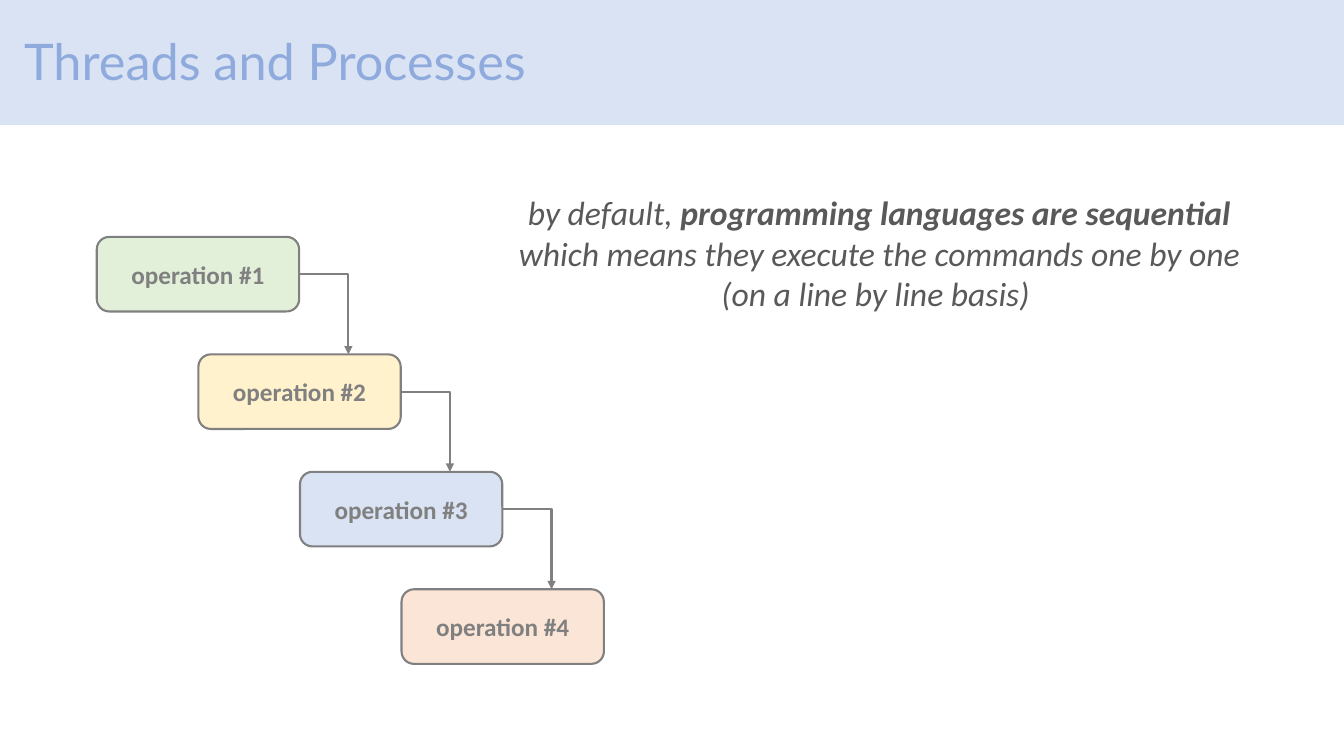
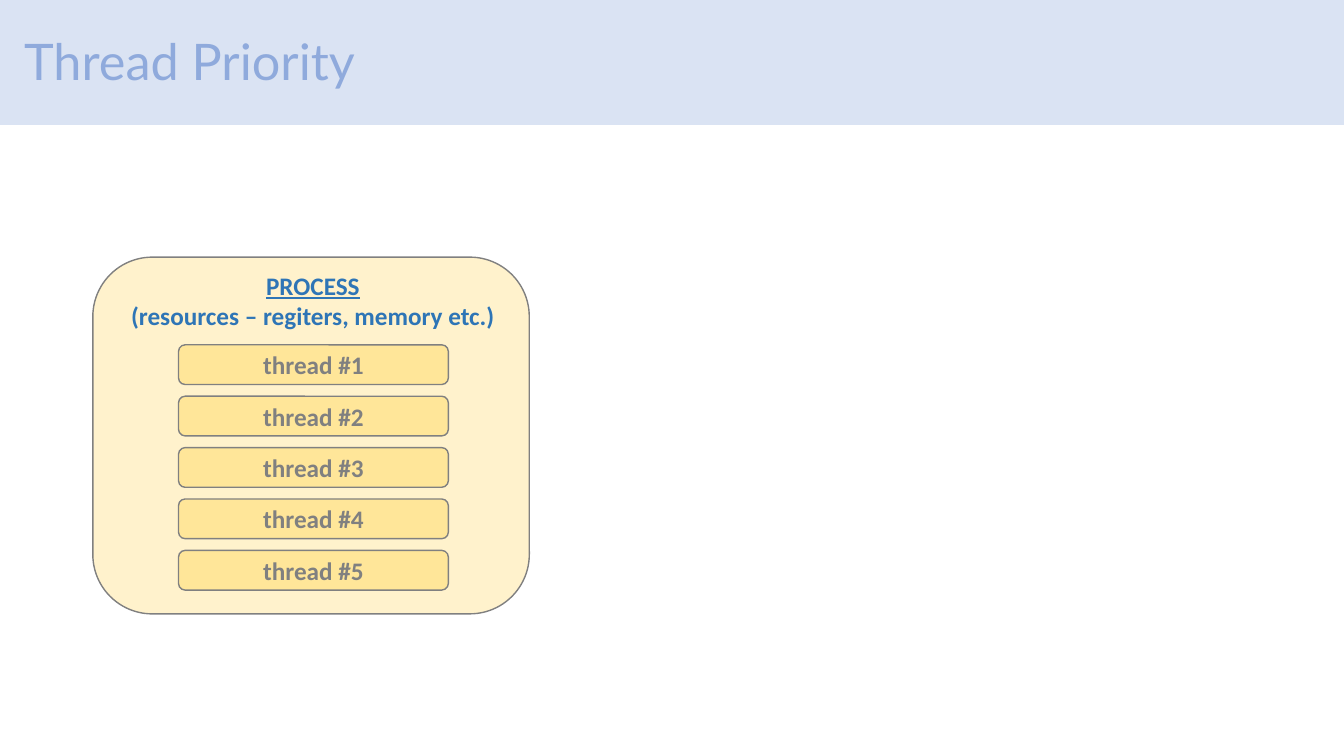
from lxml import etree
from pptx import Presentation
from pptx.dml.color import RGBColor
from pptx.enum import shapes, text
from pptx.oxml import ns
from pptx.util import Cm, Pt

WHITE = RGBColor(0xFF, 0xFF, 0xFF)
GREY = RGBColor(0x80, 0x80, 0x80)
DARK_GREY = RGBColor(0x59, 0x59, 0x59)
PALE_BLUE = RGBColor(0xDA, 0xE3, 0xF3)
TITLE_BLUE = RGBColor(0x8F, 0xAA, 0xDC)
STRONG_BLUE = RGBColor(0x2E, 0x75, 0xB6)
PALE_GREEN = RGBColor(0xE2, 0xF0, 0xD9)
PALE_YELLOW = RGBColor(0xFF, 0xF2, 0xCC)
YELLOW = RGBColor(0xFF, 0xE6, 0x99)
PALE_ORANGE = RGBColor(0xFB, 0xE5, 0xD6)

RECTANGLE = shapes.MSO_SHAPE.RECTANGLE
ROUNDED = shapes.MSO_SHAPE.ROUNDED_RECTANGLE

presentation = Presentation()
presentation.slide_width = Cm(33.87)
presentation.slide_height = Cm(19.05)


def add_box(slide, preset, bounds, fill, line, line_width, label=""):
    """Add a filled shape, bounds in cm, with an optional centred label."""
    shape = slide.shapes.add_shape(preset, *map(Cm, bounds))
    shape.shadow.inherit = False
    shape.fill.solid()
    shape.fill.fore_color.rgb = fill
    shape.line.color.rgb = line
    shape.line.width = Pt(line_width)
    if label:
        shape.text_frame.text = label
        shape.text_frame.vertical_anchor = text.MSO_ANCHOR.MIDDLE
        paragraph = shape.text_frame.paragraphs[0]
        paragraph.alignment = text.PP_ALIGN.CENTER
        paragraph.font.name = "Calibri"
        paragraph.font.size = Pt(18)
        paragraph.font.bold = True
        paragraph.font.color.rgb = GREY
    return shape


def start_slide(title):
    """Add a blank slide with the title band and its title."""
    slide = presentation.slides.add_slide(presentation.slide_layouts[6])
    add_box(slide, RECTANGLE, (-0.36, -0.1, 34.47, 3.28), PALE_BLUE, WHITE, 1)
    frame = slide.shapes.add_textbox(Cm(0.36), Cm(-0.23), Cm(29.21), Cm(3.68)).text_frame
    frame.word_wrap = True
    frame.vertical_anchor = text.MSO_ANCHOR.MIDDLE
    frame.text = title
    paragraph = frame.paragraphs[0]
    paragraph.line_spacing = 0.9
    paragraph.font.name = "Lato"
    paragraph.font.size = Pt(36)
    paragraph.font.color.rgb = TITLE_BLUE
    return slide


# Slide 1: operations run one after another
slide = start_slide("Threads and Processes")
box_width, box_height = 5.1, 1.88
step_x, step_y = 2.56, 2.96
operations = []
for index, fill in enumerate((PALE_GREEN, PALE_YELLOW, PALE_BLUE, PALE_ORANGE)):
    bounds = (2.44 + index * step_x, 5.97 + index * step_y, box_width, box_height)
    operations.append(add_box(slide, ROUNDED, bounds, fill, GREY, 1.5, f"operation #{index + 1}"))

for current, following in zip(operations, operations[1:]):
    right = current.left + current.width
    arrow = slide.shapes.add_connector(
        shapes.MSO_CONNECTOR.ELBOW,
        right, current.top + current.height // 2, right + Cm(1.24), following.top)
    arrow.begin_connect(current, 3)
    arrow.line.color.rgb = GREY
    arrow.line.width = Pt(1.5)
    properties = arrow._element.spPr
    properties.find(ns.qn("a:prstGeom")).set("prst", "bentConnector2")
    etree.SubElement(arrow.line._get_or_add_ln(), ns.qn("a:tailEnd"), type="triangle")
    etree.SubElement(properties, ns.qn("a:effectLst"))

frame = slide.shapes.add_textbox(Cm(12.65), Cm(4.72), Cm(19.02), Cm(3.33)).text_frame
frame.word_wrap = False
statement = (
    (("by default, ", False), ("programming languages are sequential", True)),
    (("which means they execute the commands one by one", False),),
    (("(on a line by line basis) ", False),),
)
for index, pieces in enumerate(statement):
    paragraph = frame.add_paragraph() if index else frame.paragraphs[0]
    paragraph.alignment = text.PP_ALIGN.CENTER
    paragraph.font.name = "Calibri"
    paragraph.font.size = Pt(24)
    paragraph.font.italic = True
    paragraph.font.color.rgb = DARK_GREY
    for words, bold in pieces:
        run = paragraph.add_run()
        run.text = words
        run.font.bold = bold

# Slide 2: a process holding its threads
slide = start_slide("Thread Priority")
add_box(slide, ROUNDED, (2.34, 6.48, 11, 8.99), PALE_YELLOW, GREY, 1)

frame = slide.shapes.add_textbox(Cm(3.02), Cm(6.68), Cm(9.73), Cm(1.8)).text_frame
frame.word_wrap = False
frame.text = "PROCESS\n(resources – regiters, memory etc.)"
for paragraph in frame.paragraphs:
    paragraph.alignment = text.PP_ALIGN.CENTER
    paragraph.font.name = "Calibri"
    paragraph.font.size = Pt(18)
    paragraph.font.bold = True
    paragraph.font.color.rgb = STRONG_BLUE
frame.paragraphs[0].font.underline = True

for index in range(5):
    bounds = (4.5, 8.69 + index * 1.295, 6.8, 1)
    add_box(slide, ROUNDED, bounds, YELLOW, GREY, 1, f"thread #{index + 1}")

presentation.save("out.pptx")
